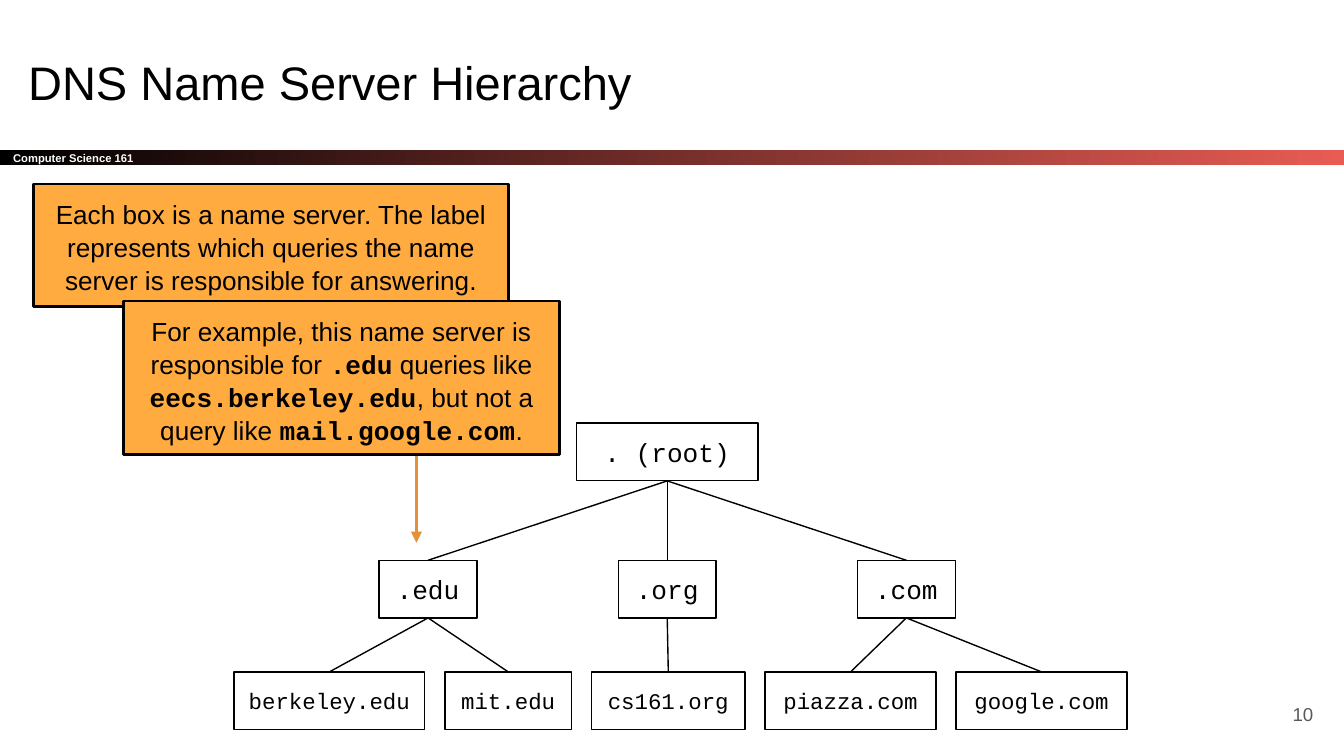
from dataclasses import dataclass

import pptx
import pptx.dml.color
import pptx.enum.shapes
import pptx.enum.text
import pptx.oxml
import pptx.oxml.ns
import pptx.util

Cm, Pt = pptx.util.Cm, pptx.util.Pt
Color = pptx.dml.color.RGBColor.from_string
Align, Anchor = pptx.enum.text.PP_ALIGN, pptx.enum.text.MSO_ANCHOR
RECTANGLE = pptx.enum.shapes.MSO_SHAPE.RECTANGLE
STRAIGHT = pptx.enum.shapes.MSO_CONNECTOR.STRAIGHT
BOTTOM, TOP = 2, 0


@dataclass(frozen=True)
class Theme:
    sans: str = "Arial"
    mono: str = "Courier New"
    ink: str = "000000"
    white: str = "FFFFFF"
    grey: str = "595959"
    coral: str = "E85C54"
    orange: str = "FFAB40"
    arrow: str = "E69138"
    title: float = 25.2
    body: float = 14
    leaf: float = 12
    number: float = 10
    band: float = 6


theme = Theme()


def add_box(place, spans, size, fill=None, outline=0.75):
    """Add a centred rectangle; place is in cm, spans are (text, font, bold)."""
    box = page.shapes.add_shape(RECTANGLE, *[Cm(length) for length in place])
    box.shadow.inherit = False
    if fill:
        box.fill.solid()
        box.fill.fore_color.rgb = Color(fill)
    else:
        box.fill.background()
    box.line.color.rgb = Color(theme.ink)
    box.line.width = Pt(outline)
    frame = box.text_frame
    frame.word_wrap = True
    frame.vertical_anchor = Anchor.MIDDLE
    frame.margin_left = frame.margin_right = Cm(0.25)
    frame.margin_top = frame.margin_bottom = Cm(0.25)
    para = frame.paragraphs[0]
    para.alignment = Align.CENTER
    for text, font, bold in spans:
        span = para.add_run()
        span.text = text
        span.font.name, span.font.size, span.font.bold = font, Pt(size), bold
        span.font.color.rgb = Color(theme.ink)
    return box


def style_line(line, color, width):
    line.line.color.rgb = Color(color)
    line.line.width = Pt(width)
    line._element.spPr.append(pptx.oxml.parse_xml(
        f"<a:effectLst {pptx.oxml.ns.nsdecls('a')}/>"))


deck = pptx.Presentation()
deck.slide_width, deck.slide_height = Cm(25.4), Cm(14.29)
page = deck.slides.add_slide(deck.slide_layouts.get_by_name("Title Only"))

# Header band, title and page number
band = page.shapes.add_shape(RECTANGLE, 0, Cm(2.83), deck.slide_width, Cm(0.3))
band.shadow.inherit = False
band.line.fill.background()
band.fill.gradient()
band.fill.gradient_angle = 0
for stop, position, color in zip(band.fill.gradient_stops, (0, 1),
                                 (theme.ink, theme.coral)):
    stop.position = position
    stop.color.rgb = Color(color)

title = page.shapes.title
title.left, title.top = Cm(0.28), Cm(0.76)
title.width, title.height = Cm(23.67), Cm(1.6)

number = page.shapes.add_textbox(Cm(23.55), Cm(12.95), Cm(1.52), Cm(1.09))

for box, text, size, color, align, anchor in (
    (band, "Computer Science 161", theme.band, theme.white, Align.LEFT, Anchor.MIDDLE),
    (title, "DNS Name Server Hierarchy", theme.title, theme.ink, Align.LEFT, Anchor.TOP),
    (number, "10", theme.number, theme.grey, Align.RIGHT, Anchor.MIDDLE),
):
    frame = box.text_frame
    frame.text = text
    frame.word_wrap = True
    frame.auto_size = pptx.enum.text.MSO_AUTO_SIZE.NONE
    frame.vertical_anchor = anchor
    frame.margin_left = frame.margin_right = Cm(0.25)
    frame.margin_top = frame.margin_bottom = Cm(0.25)
    para = frame.paragraphs[0]
    para.alignment = align
    font = para.runs[0].font
    font.name, font.size, font.bold = theme.sans, Pt(size), box is band
    font.color.rgb = Color(color)

# Name server tree
node_height = 1.09
root_center, root_width, root_top = 12.61, 3.43, 8
domain_step, domain_width, domain_top = 4.52, 1.85, 10.59
leaf_left, leaf_gap, leaf_top = 4.42, 0.38, 12.7
domains = {
    ".edu": (("berkeley.edu", 3.61), ("mit.edu", 2.39)),
    ".org": (("cs161.org", 2.9),),
    ".com": (("piazza.com", 3.23), ("google.com", 3.23)),
}

root = add_box((root_center - root_width / 2, root_top, root_width, node_height),
               [(". (root)", theme.mono, False)], theme.body)
links = []
for index, (domain, leaves) in enumerate(domains.items()):
    center = root_center + (index - 1) * domain_step
    parent = add_box((center - domain_width / 2, domain_top, domain_width, node_height),
                     [(domain, theme.mono, False)], theme.body)
    links.append((root, parent))
    for name, width in leaves:
        leaf = add_box((leaf_left, leaf_top, width, node_height),
                       [(name, theme.mono, False)], theme.leaf)
        links.append((parent, leaf))
        leaf_left += width + leaf_gap

for upper, lower in links:
    link = page.shapes.add_connector(STRAIGHT, 0, 0, 0, 0)
    link.begin_connect(upper, BOTTOM)
    link.end_connect(lower, TOP)
    style_line(link, theme.ink, 0.75)

# Callouts, with the arrow behind the second one
arrow = page.shapes.add_connector(STRAIGHT, Cm(7.87), Cm(8.23), Cm(7.87), Cm(10.26))
style_line(arrow, theme.arrow, 1.5)
arrow.line._get_or_add_ln().append(pptx.oxml.parse_xml(
    f"<a:tailEnd {pptx.oxml.ns.nsdecls('a')} type='triangle'/>"))

callouts = (
    ((0.64, 3.48, 8.97, 2.31), [
        ("Each box is a name server. The label represents which queries "
         "the name server is responsible for answering.", theme.sans, False),
    ]),
    ((2.34, 5.69, 8.23, 2.9), [
        ("For example, this name server is responsible for ", theme.sans, False),
        (".edu", theme.mono, True),
        (" queries like ", theme.sans, False),
        ("eecs.berkeley.edu", theme.mono, True),
        (", but not a query like ", theme.sans, False),
        ("mail.google.com", theme.mono, True),
        (".", theme.sans, False),
    ]),
)
for place, spans in callouts:
    callout = add_box(place, spans, theme.body, theme.orange, 1.5)
    callout.text_frame.vertical_anchor = Anchor.TOP
    callout.text_frame.paragraphs[0].line_spacing = 1.05

deck.save("out.pptx")
